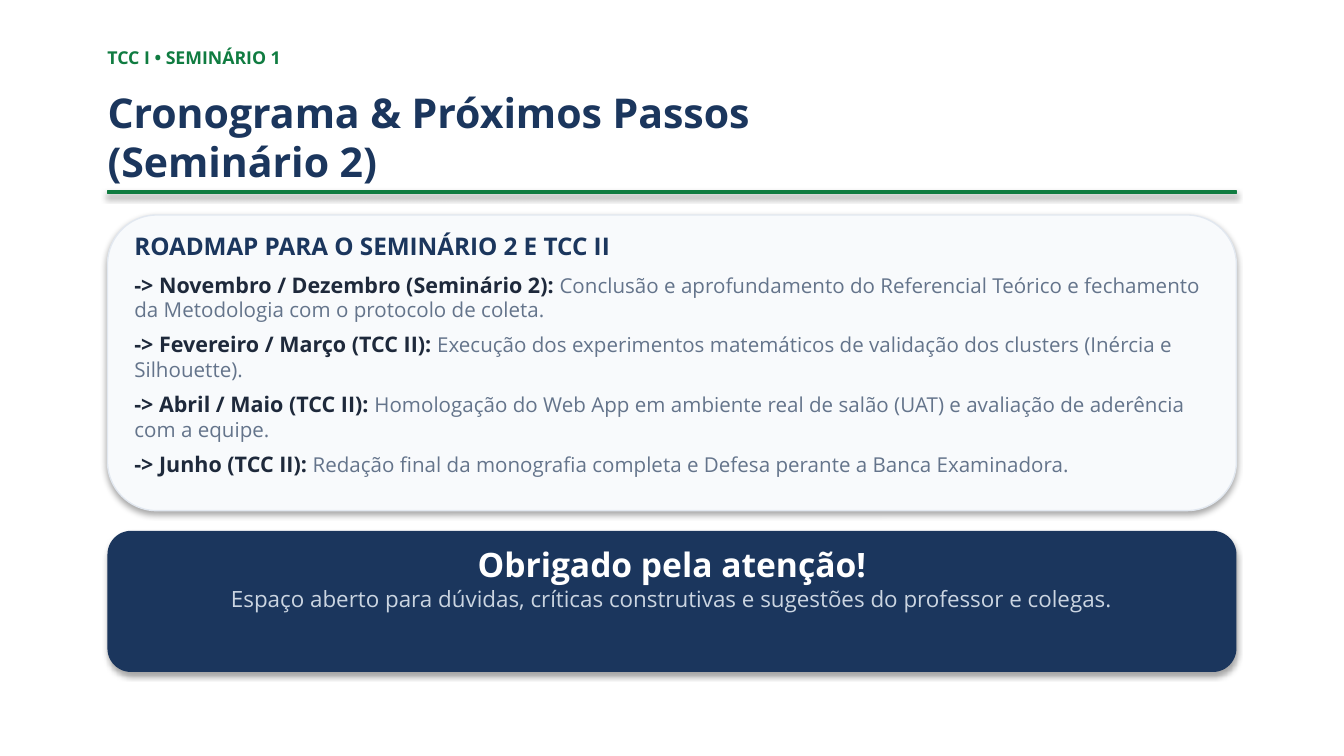
from pptx import Presentation
from pptx.dml.color import RGBColor
from pptx.enum.shapes import MSO_SHAPE
from pptx.enum.text import MSO_ANCHOR, MSO_AUTO_SIZE, PP_ALIGN
from pptx.util import Inches, Pt

RECT, ROUNDED = MSO_SHAPE.RECTANGLE, MSO_SHAPE.ROUNDED_RECTANGLE
LEFT, CENTER = PP_ALIGN.LEFT, PP_ALIGN.CENTER
TOP, GROW = MSO_ANCHOR.TOP, MSO_AUTO_SIZE.SHAPE_TO_FIT_TEXT
TITLE_ONLY = 5

FONT = "Open Sans"
NAVY, GREEN, INK, SLATE = "1B365D", "107C41", "1E293B", "64748B"
PALE, BORDER, WHITE, SILVER = "F8FAFC", "E2E8F0", "FFFFFF", "CBD5E1"
SLIDE_WIDTH = 10
MARGIN, WIDTH, PADDING = 0.8, 8.4, 0.2

EYEBROW = "TCC I • SEMINÁRIO 1"
TITLE = "Cronograma & Próximos Passos (Seminário 2)"
ROADMAP_HEADING = "ROADMAP PARA O SEMINÁRIO 2 E TCC II"
ROADMAP = [
    ("Novembro / Dezembro (Seminário 2)",
     "Conclusão e aprofundamento do Referencial Teórico e fechamento da Metodologia com o protocolo de coleta."),
    ("Fevereiro / Março (TCC II)",
     "Execução dos experimentos matemáticos de validação dos clusters (Inércia e Silhouette)."),
    ("Abril / Maio (TCC II)",
     "Homologação do Web App em ambiente real de salão (UAT) e avaliação de aderência com a equipe."),
    ("Junho (TCC II)",
     "Redação final da monografia completa e Defesa perante a Banca Examinadora."),
]
THANKS = "Obrigado pela atenção!"
INVITATION = "Espaço aberto para dúvidas, críticas construtivas e sugestões do professor e colegas."


def rgb(value):
    return RGBColor.from_string(value)


def style(font, size, color, bold=False):
    font.name, font.size, font.bold = FONT, Pt(size), bold
    font.color.rgb = rgb(color)


def prepare(frame):
    frame.margin_left = frame.margin_right = frame.margin_top = frame.margin_bottom = 0
    frame.word_wrap, frame.auto_size, frame.vertical_anchor = True, GROW, TOP
    return frame


def add_text(slide, left, top, width, height):
    box = slide.shapes.add_textbox(Inches(left), Inches(top), Inches(width), Inches(height))
    return prepare(box.text_frame)


def write(paragraph, text, size, color, bold=False, align=LEFT):
    paragraph.text, paragraph.alignment = text, align
    style(paragraph.font, size, color, bold)


def add_panel(slide, kind, top, height, fill, border=None):
    panel = slide.shapes.add_shape(kind, Inches(MARGIN), Inches(top), Inches(WIDTH), Inches(height))
    panel.fill.solid()
    panel.fill.fore_color.rgb = rgb(fill)
    if border:
        panel.line.color.rgb, panel.line.width = rgb(border), Pt(0.75)
    else:
        panel.line.fill.background()


def add_header(slide):
    eyebrow = add_text(slide, MARGIN, 0.35, 5.5, 0.3)
    write(eyebrow.paragraphs[0], EYEBROW, 9.5, GREEN, True)
    title = slide.shapes.title
    title.left, title.top, title.width, title.height = map(Inches, (MARGIN, 0.65, 5.8, 0.75))
    write(prepare(title.text_frame).paragraphs[0], TITLE, 22, NAVY, True)
    add_panel(slide, RECT, 1.42, 0.02, GREEN, GREEN)


def add_roadmap(slide):
    add_panel(slide, ROUNDED, 1.6, 2.2, PALE, BORDER)
    roadmap = add_text(slide, MARGIN + PADDING, 1.72, WIDTH - 2 * PADDING, 1.95)
    heading = roadmap.paragraphs[0]
    write(heading, ROADMAP_HEADING, 13, NAVY, True)
    heading.space_after = Pt(6)
    for period, task in ROADMAP:
        step = roadmap.add_paragraph()
        step.space_after = Pt(5)
        for text, size, color, bold in ((f"-> {period}: ", 11.5, INK, True), (task, 11, SLATE, False)):
            run = step.add_run()
            run.text = text
            style(run.font, size, color, bold)


def add_closing(slide):
    add_panel(slide, ROUNDED, 3.95, 1.05, NAVY)
    closing = add_text(slide, MARGIN + PADDING, 4.05, WIDTH - 2 * PADDING, 0.85)
    write(closing.paragraphs[0], THANKS, 18, WHITE, True, CENTER)
    write(closing.add_paragraph(), INVITATION, 12, SILVER, align=CENTER)


def main():
    """Build the schedule and next steps slide."""
    deck = Presentation()
    deck.slide_width, deck.slide_height = Inches(SLIDE_WIDTH), Inches(SLIDE_WIDTH * 9 / 16)
    slide = deck.slides.add_slide(deck.slide_layouts[TITLE_ONLY])
    add_header(slide)
    add_roadmap(slide)
    add_closing(slide)
    deck.save("out.pptx")


if __name__ == "__main__":
    main()
